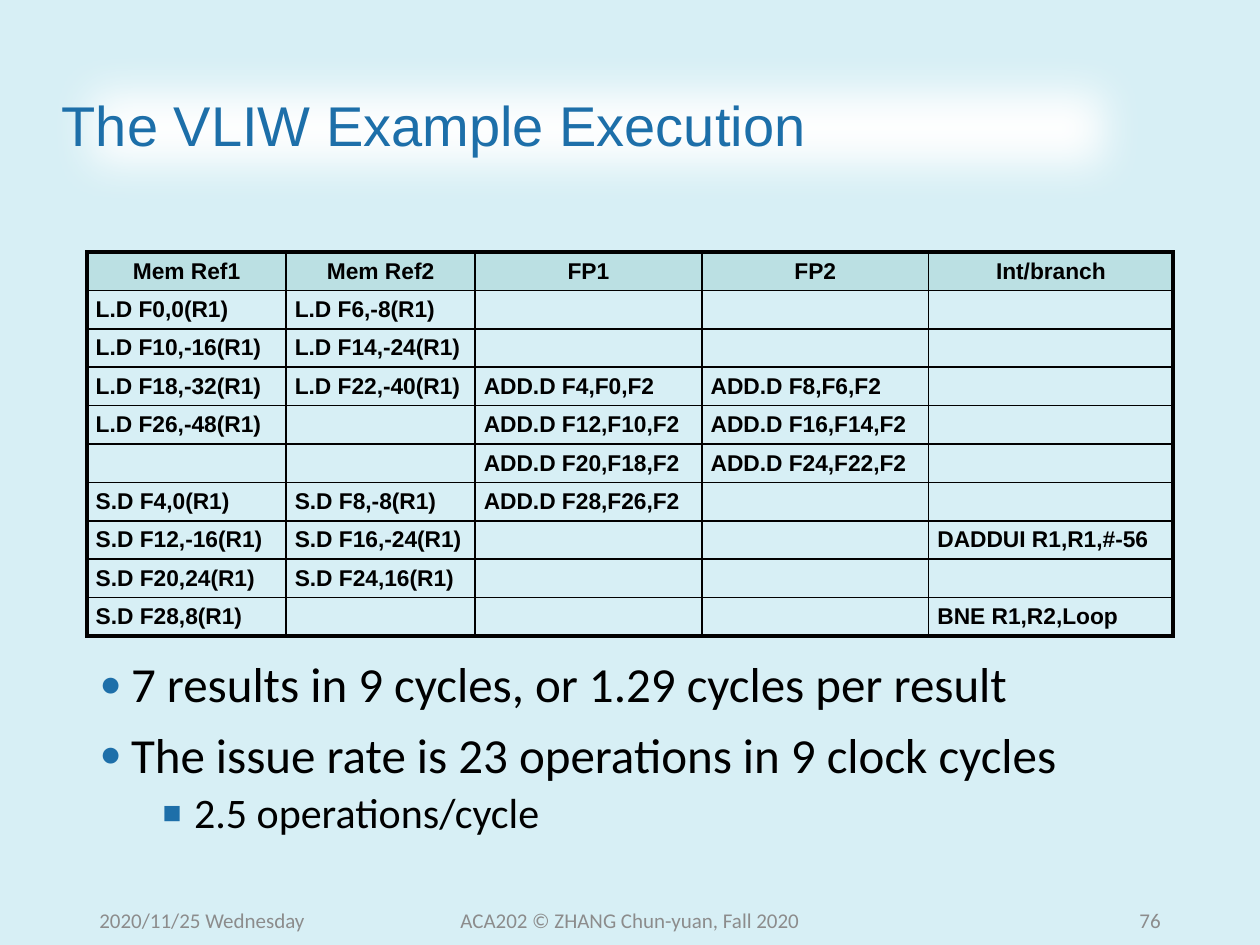
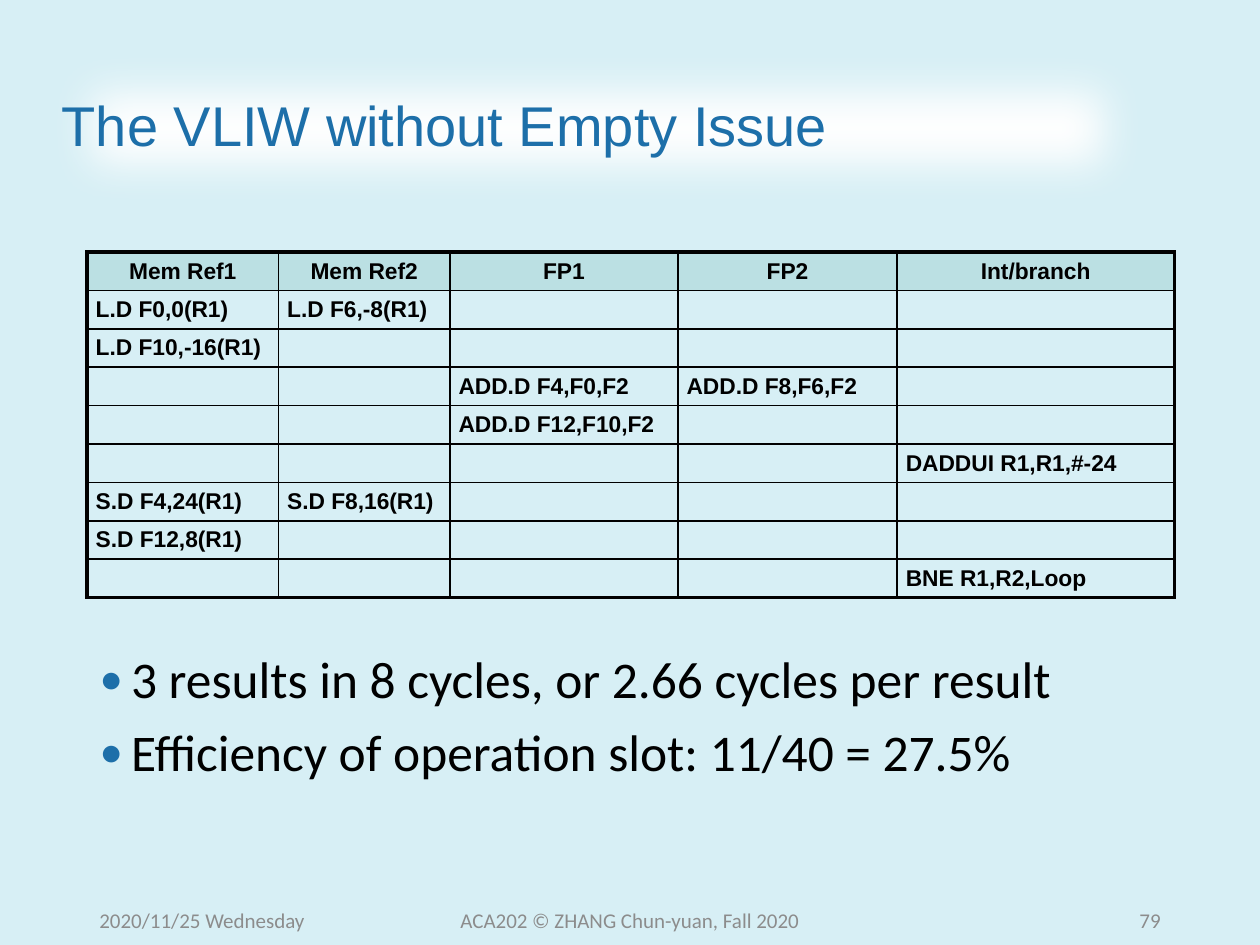
"""Build two slides on VLIW execution, each with an issue table and conclusions."""
from lxml import etree
from pptx import Presentation
from pptx.dml.color import RGBColor
from pptx.enum.text import MSO_ANCHOR, MSO_AUTO_SIZE, PP_ALIGN
from pptx.oxml.ns import qn
from pptx.util import Inches, Pt

LEFT, CENTER, RIGHT = PP_ALIGN.LEFT, PP_ALIGN.CENTER, PP_ALIGN.RIGHT
MIDDLE, TOP = MSO_ANCHOR.MIDDLE, MSO_ANCHOR.TOP
NO_FIT = MSO_AUTO_SIZE.NONE

PALE, WHITE, BLUE, TEAL = "D7EFF5", "FFFFFF", "1D6FA9", "BBE0E3"
BLACK, GRAY = "000000", "8C8C8C"
MARGIN, CONTENT_WIDTH = 0.69, 8.63
TABLE_TOP, ROW_HEIGHT = 2, 3.05 / 10
HEADERS = ["Mem Ref1", "Mem Ref2", "FP1", "FP2", "Int/branch"]
BULLETS = [("●", 0.25, 10), ("■", 0.75, 5)]
FOOTER_TOP, FOOTER_HEIGHT = 7.1, 0.4

SLIDES = [
    {
        "title": "The VLIW Example Execution",
        "number": "76",
        "widths": [1.58, 1.5, 1.8, 1.8, 1.94],
        "rows": [
            "L.D F0,0(R1)|L.D F6,-8(R1)|||",
            "L.D F10,-16(R1)|L.D F14,-24(R1)|||",
            "L.D F18,-32(R1)|L.D F22,-40(R1)|ADD.D F4,F0,F2|ADD.D F8,F6,F2|",
            "L.D F26,-48(R1)||ADD.D F12,F10,F2|ADD.D F16,F14,F2|",
            "||ADD.D F20,F18,F2|ADD.D F24,F22,F2|",
            "S.D F4,0(R1)|S.D F8,-8(R1)|ADD.D F28,F26,F2||",
            "S.D F12,-16(R1)|S.D F16,-24(R1)|||DADDUI R1,R1,#-56",
            "S.D F20,24(R1)|S.D F24,16(R1)|||",
            "S.D F28,8(R1)||||BNE R1,R2,Loop",
        ],
        "body": (5.19, 1.86),
        "points": [
            (0, 28, "7 results in 9 cycles, or 1.29 cycles per result"),
            (0, 28, "The issue rate is 23 operations in 9 clock cycles"),
            (1, 24, "2.5 operations/cycle"),
        ],
    },
    {
        "title": "The VLIW without Empty Issue",
        "number": "79",
        "widths": [1.52, 1.36, 1.81, 1.74, 2.2],
        "rows": [
            "L.D F0,0(R1)|L.D F6,-8(R1)|||",
            "L.D F10,-16(R1)||||",
            "||ADD.D F4,F0,F2|ADD.D F8,F6,F2|",
            "||ADD.D F12,F10,F2||",
            "||||DADDUI R1,R1,#-24",
            "S.D F4,24(R1)|S.D F8,16(R1)|||",
            "S.D F12,8(R1)||||",
            "||||BNE R1,R2,Loop",
        ],
        "body": (5.14, 1.54),
        "points": [
            (0, 29.4, "3 results in 8 cycles, or 2.66 cycles per result"),
            (0, 29.4, "Efficiency of operation slot: 11/40 = 27.5%"),
        ],
    },
]


def style(font, name, size, color, bold=False):
    font.name, font.size, font.bold = name, Pt(size), bold
    font.color.rgb = RGBColor.from_string(color)


def place(shape, left, top, width, height):
    shape.left, shape.top = Inches(left), Inches(top)
    shape.width, shape.height = Inches(width), Inches(height)


deck = Presentation()
deck.slide_width, deck.slide_height = Inches(10), Inches(7.5)
backdrop = deck.slide_master.background.fill
backdrop.solid()
backdrop.fore_color.rgb = RGBColor.from_string(PALE)

for content in SLIDES:
    page = deck.slides.add_slide(deck.slide_layouts[1])

    title = page.shapes.title
    place(title, 0.39, 0.4, 8.69, 1.23)
    title.fill.solid()
    title.fill.fore_color.rgb = RGBColor.from_string(WHITE)
    effects = etree.SubElement(title._element.spPr, qn("a:effectLst"))
    etree.SubElement(effects, qn("a:softEdge"), rad=str(Pt(25)))
    title.text_frame.text = content["title"]
    title.text_frame.vertical_anchor = MIDDLE
    title.text_frame.auto_size = NO_FIT
    para = title.text_frame.paragraphs[0]
    para.alignment, para.line_spacing = LEFT, 0.9
    style(para.font, "Arial", 32, BLUE)

    rows = [HEADERS] + [row.split("|") for row in content["rows"]]
    last_row, last_column = len(rows) - 1, len(HEADERS) - 1
    table = page.shapes.add_table(
        len(rows), len(HEADERS), Inches(MARGIN), Inches(TABLE_TOP),
        Inches(CONTENT_WIDTH), Inches(ROW_HEIGHT * len(rows))).table
    table.first_row = table.horz_banding = False
    for column, width in zip(table.columns, content["widths"]):
        column.width = Inches(width)
    for r, row in enumerate(rows):
        table.rows[r].height = Inches(ROW_HEIGHT)
        for c, text in enumerate(row):
            cell = table.cell(r, c)
            cell.vertical_anchor = MIDDLE
            cell.margin_left = cell.margin_right = Inches(0.07)
            cell.margin_top = cell.margin_bottom = Inches(0.04)
            outer_edges = {"L": c == 0, "R": c == last_column,
                           "T": r == 0, "B": r == last_row}
            for side, outer in outer_edges.items():
                line = etree.SubElement(cell._tc.get_or_add_tcPr(), qn("a:ln" + side),
                                        w=str(Pt(2.25 if outer else 1)))
                paint = etree.SubElement(line, qn("a:solidFill"))
                etree.SubElement(paint, qn("a:srgbClr"), val=BLACK)
            if r == 0:
                cell.fill.solid()
                cell.fill.fore_color.rgb = RGBColor.from_string(TEAL)
            else:
                cell.fill.background()
            cell.text = text
            para = cell.text_frame.paragraphs[0]
            para.alignment = CENTER if r == 0 else LEFT
            style(para.font, "Arial", 13, BLACK, bold=True)
            if not text:
                etree.SubElement(para._p, qn("a:endParaRPr"), sz="1300")

    body = page.placeholders[1]
    body_top, body_height = content["body"]
    place(body, MARGIN, body_top, CONTENT_WIDTH, body_height)
    frame = body.text_frame
    frame.auto_size, frame.vertical_anchor = NO_FIT, TOP
    frame.text = "\n".join(text for _, _, text in content["points"])
    for para, (level, size, _) in zip(frame.paragraphs, content["points"]):
        symbol, indent, gap = BULLETS[level]
        para.level, para.line_spacing, para.space_before = level, 0.9, Pt(gap)
        para.space_after = Pt(0)
        properties = para._p.get_or_add_pPr()
        properties.set("marL", str(Inches(indent)))
        properties.set("indent", str(Inches(-0.25)))
        bullet_color = etree.SubElement(properties, qn("a:buClr"))
        etree.SubElement(bullet_color, qn("a:srgbClr"), val=BLUE)
        etree.SubElement(properties, qn("a:buSzPct"), val="75000")
        etree.SubElement(properties, qn("a:buFont"), typeface="Arial")
        etree.SubElement(properties, qn("a:buChar"), char=symbol)
        style(para.font, "Calibri", size, BLACK)

    for left, width, alignment, text in [
            (MARGIN, 2.25, LEFT, "2020/11/25 Wednesday"),
            (3.31, 3.38, CENTER, "ACA202 © ZHANG Chun-yuan, Fall 2020"),
            (7.06, 2.25, RIGHT, content["number"])]:
        box = page.shapes.add_textbox(Inches(left), Inches(FOOTER_TOP),
                                      Inches(width), Inches(FOOTER_HEIGHT))
        box.text_frame.word_wrap = True
        box.text_frame.vertical_anchor = MIDDLE
        box.text_frame.text = text
        para = box.text_frame.paragraphs[0]
        para.alignment = alignment
        style(para.font, "Calibri", 12, GRAY)

deck.save("out.pptx")
